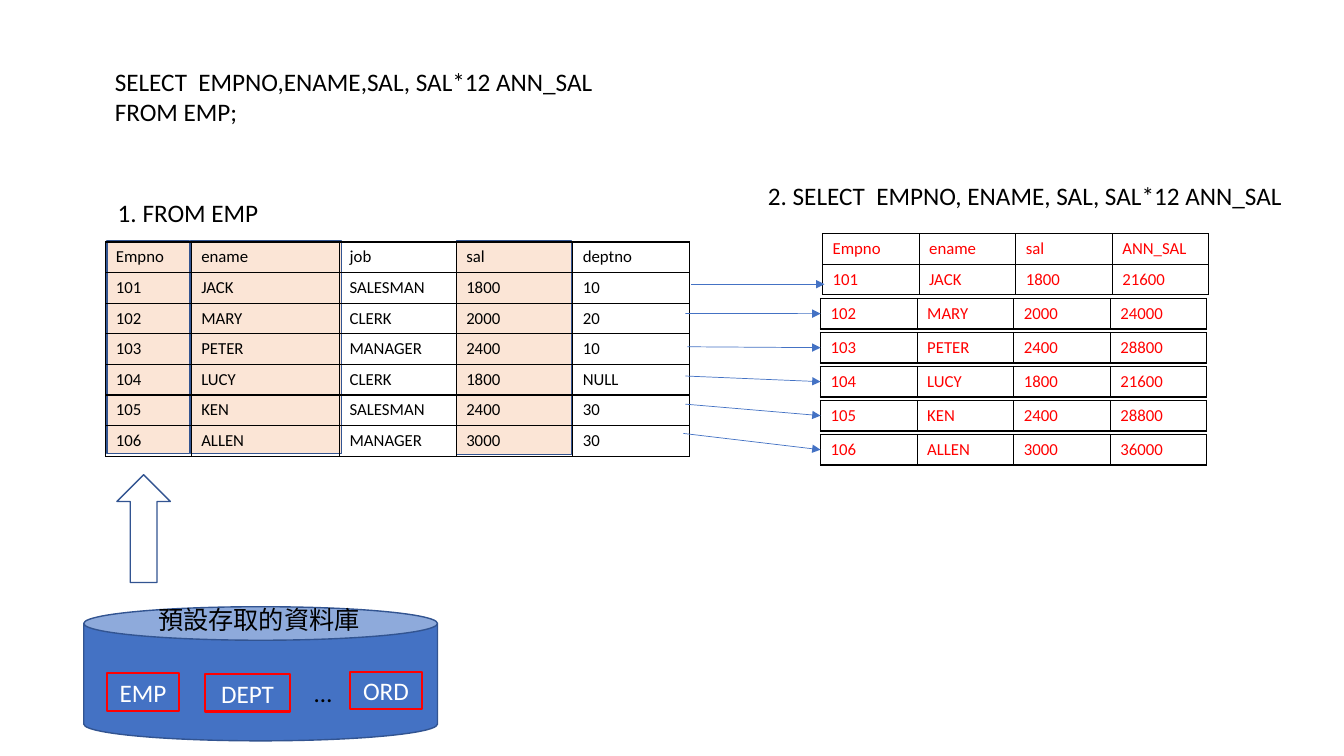
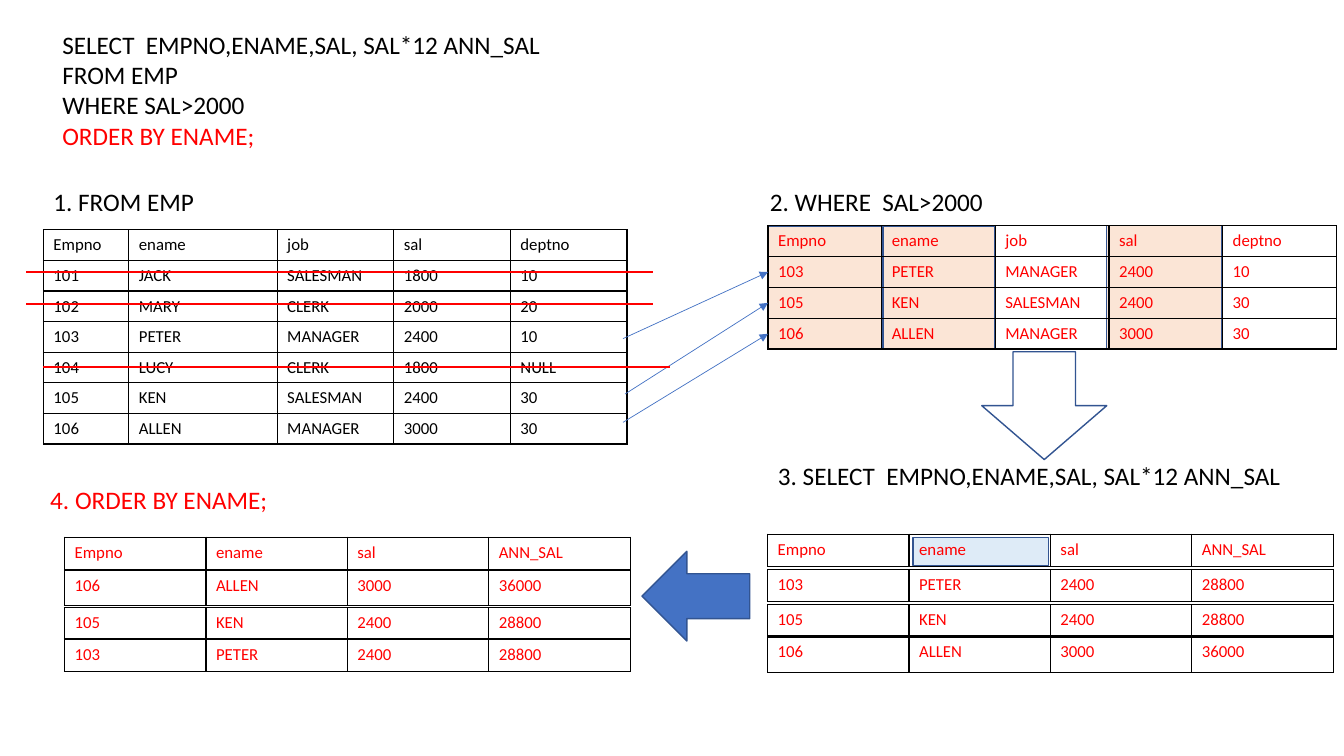
from collections import namedtuple
from dataclasses import dataclass

from lxml.etree import SubElement
from pptx import Presentation
from pptx.dml.color import RGBColor
from pptx.enum.shapes import MSO_CONNECTOR as Connector, MSO_SHAPE as Shape
from pptx.enum.text import MSO_ANCHOR as Anchor, MSO_AUTO_SIZE as AutoSize, PP_ALIGN as Align
from pptx.oxml import parse_xml
from pptx.oxml.ns import nsdecls, qn
from pptx.util import Pt


@dataclass(frozen=True)
class Theme:
    black: str = "000000"
    white: str = "FFFFFF"
    red: str = "FF0000"
    blue: str = "4472C4"
    outline: str = "325491"
    peach: str = "FBE5D6"
    pale_blue: str = "DEEBF7"
    font: str = "Calibri"
    cjk_font: str = "Noto Sans CJK SC"
    body_size: float = 18
    cell_size: float = 12
    row_height: float = 21.85
    thin: float = 0.5
    border: float = 1
    bold_line: float = 1.5


THEME = Theme()
Employee = namedtuple("Employee", "empno ename job sal deptno")
EMPLOYEES = [
    Employee(101, "JACK", "SALESMAN", 1800, 10),
    Employee(102, "MARY", "CLERK", 2000, 20),
    Employee(103, "PETER", "MANAGER", 2400, 10),
    Employee(104, "LUCY", "CLERK", 1800, "NULL"),
    Employee(105, "KEN", "SALESMAN", 2400, 30),
    Employee(106, "ALLEN", "MANAGER", 3000, 30),
]
EMP_HEADER = ("Empno", "ename", "job", "sal", "deptno")
RESULT_HEADER = ("Empno", "ename", "sal", "ANN_SAL")
EMP_WIDTHS = (61, 106, 83.3, 83.3, 83.3)
SELECT_CLAUSE = "SELECT  EMPNO,ENAME,SAL, SAL*12 ANN_SAL"


def select_row(employee):
    return employee.empno, employee.ename, employee.sal, employee.sal * 12


def points(*lengths):
    return [Pt(length) for length in lengths]


def rgb(color):
    return RGBColor.from_string(color)


def add_run(paragraph, text, size, color, font=THEME.font):
    run = paragraph.add_run()
    run.text = text
    run.font.size = Pt(size)
    run.font.bold = False
    run.font.color.rgb = rgb(color)
    run.font.name = font
    if font == THEME.cjk_font:
        SubElement(run.font._element, qn("a:ea"), typeface=font)


def add_text(slide, box, *lines, color=THEME.black, font=THEME.font, wrap=False):
    frame = slide.shapes.add_textbox(*points(*box)).text_frame
    frame.word_wrap = wrap
    frame.auto_size = AutoSize.SHAPE_TO_FIT_TEXT
    for index, line in enumerate(lines):
        text, line_color = line if isinstance(line, tuple) else (line, color)
        paragraph = frame.add_paragraph() if index else frame.paragraphs[0]
        add_run(paragraph, text, THEME.body_size, line_color, font)


def add_block(slide, kind, box, fill=None, outline=THEME.outline, width=THEME.border):
    block = slide.shapes.add_shape(kind, *points(*box))
    block.shadow.inherit = False
    if fill:
        block.fill.solid()
        block.fill.fore_color.rgb = rgb(fill)
    else:
        block.fill.background()
    block.line.color.rgb = rgb(outline)
    block.line.width = Pt(width)
    return block


def add_highlights(slide, boxes, fill=THEME.peach):
    for box in boxes:
        add_block(slide, Shape.RECTANGLE, box, fill)


def add_stored_table(slide, box, name):
    frame = add_block(slide, Shape.RECTANGLE, box, None, THEME.red, THEME.bold_line).text_frame
    frame.vertical_anchor = Anchor.MIDDLE
    frame.paragraphs[0].alignment = Align.CENTER
    add_run(frame.paragraphs[0], name, THEME.body_size, THEME.white)


def add_line(slide, start, end, color, width):
    line = slide.shapes.add_connector(Connector.STRAIGHT, *points(*start, *end))
    line.line.color.rgb = rgb(color)
    line.line.width = Pt(width)
    SubElement(line._element.spPr, qn("a:effectLst"))
    return line


def add_arrow(slide, start, end, target=None):
    arrow = add_line(slide, start, end, THEME.blue, THEME.thin)
    SubElement(arrow.line._get_or_add_ln(), qn("a:tailEnd"), type="triangle")
    if target:
        arrow.end_connect(target, 1)


def add_arrow_to_row(slide, start, row):
    add_arrow(slide, start, (row.left.pt, row.top.pt + row.height.pt / 2), row)


def add_borders(cell):
    properties = cell._tc.get_or_add_tcPr()
    for index, side in enumerate("LRTB"):
        properties.insert(index, parse_xml(
            f'<a:ln{side} {nsdecls("a")} w="{Pt(THEME.border)}"><a:solidFill>'
            f'<a:srgbClr val="{THEME.black}"/></a:solidFill></a:ln{side}>'))


def add_grid(slide, left, top, widths, rows, color=THEME.red, height=THEME.row_height):
    box = points(left, top, sum(widths), height * len(rows))
    frame = slide.shapes.add_table(len(rows), len(widths), *box)
    table = frame.table
    table.first_row = table.horz_banding = False
    for column, width in zip(table.columns, widths):
        column.width = Pt(width)
    for row, values in zip(table.rows, rows):
        row.height = Pt(height)
        for cell, value in zip(row.cells, values):
            cell.fill.background()
            add_borders(cell)
            add_run(cell.text_frame.paragraphs[0], str(value), THEME.cell_size, color)
    return frame


def add_emp_table(slide, left, top):
    add_grid(slide, left, top, EMP_WIDTHS, [EMP_HEADER, *EMPLOYEES], THEME.black)


def add_strips(slide, left, widths, rows, tops, heights):
    return [add_grid(slide, left, top, widths, [row], height=height)
            for row, top, height in zip(rows, tops, heights)]


def build_select_slide(slide):
    add_highlights(slide, [(136.1, 172.1, 108, 151.9), (326.2, 172.1, 82.1, 152.6),
                           (76.3, 172.1, 59, 151.9)])
    add_emp_table(slide, 75.6, 172.8)
    add_text(slide, (74.9, 43.9, 359.3, 51.1), SELECT_CLAUSE, "FROM EMP;")
    add_text(slide, (77, 137.5, 115.9, 28.8), "1. FROM EMP")
    add_text(slide, (541.4, 125.3, 385.2, 28.8), "2. SELECT  EMPNO, ENAME, SAL, SAL*12 ANN_SAL")

    add_block(slide, Shape.CAN, (59.8, 433.4, 252.7, 95.8), THEME.blue)
    add_stored_table(slide, (76.3, 481, 51.8, 26.6), "EMP")
    add_stored_table(slide, (146.2, 481.7, 61.2, 26.6), "DEPT")
    add_stored_table(slide, (249.8, 480.2, 51.8, 26.6), "ORD")
    add_text(slide, (217.4, 480.2, 27.4, 28.8), "…", wrap=True)
    add_block(slide, Shape.UP_ARROW, (83.5, 339.1, 38.2, 77))
    add_text(slide, (105.8, 428.4, 159.8, 28.8), "預設存取的資料庫", font=THEME.cjk_font)

    widths = [69] * 4
    first, *others = [select_row(employee) for employee in EMPLOYEES]
    add_grid(slide, 587.5, 167, widths, [RESULT_HEADER, first])
    tops = [213.1 + 24.3 * index for index in range(len(others))]
    strips = add_strips(slide, 586.1, widths, others, tops, [THEME.row_height] * len(others))
    add_arrow(slide, (493.9, 203), (589, 203))
    starts = [(489.6, 223.9), (491, 247.7), (489.6, 268.6), (489.6, 288.7), (488.2, 309.6)]
    for start, strip in zip(starts, strips):
        add_arrow_to_row(slide, start, strip)


def build_order_slide(slide):
    add_highlights(slide, [(652.3, 383.8, 96.5, 20.2)], THEME.pale_blue)
    add_highlights(slide, [(629.3, 162, 81.4, 87.8), (790.6, 161.3, 82.1, 88.6),
                           (548.6, 161.3, 82.1, 87.8)])
    add_emp_table(slide, 31, 164.2)
    add_text(slide, (37.4, 17.3, 359.3, 94.3), SELECT_CLAUSE, "FROM EMP", "WHERE SAL>2000",
             ("ORDER BY ENAME;", THEME.red))
    add_text(slide, (31, 129.6, 115.9, 28.8), "1. FROM EMP")
    add_text(slide, (542.9, 129.6, 168.5, 28.8), "2. WHERE  SAL>2000")
    add_text(slide, (548.6, 325.4, 377.3, 28.8), "3. " + SELECT_CLAUSE)
    add_text(slide, (28.8, 342.7, 171.4, 28.8), "4. ORDER BY ENAME;", color=THEME.red)

    kept = [employee for employee in EMPLOYEES if employee.sal > 2000]
    filtered = [EMP_HEADER, *kept]
    tops = [161.3 + 22.07 * index for index in range(len(filtered))]
    strips = add_strips(slide, 548.6, [81.2] * 5, filtered, tops,
                        [THEME.row_height] * len(filtered))
    for start, strip in zip([(445, 241.9), (446.4, 281.5), (445, 301.7)], strips[1:]):
        add_arrow_to_row(slide, start, strip)
    for left, middle in [(18.7, 194.4), (18.7, 217.4), (31, 262.1)]:
        add_line(slide, (left, middle), (left + 447.8, middle), THEME.red, THEME.bold_line)

    widths = [101] * 4
    selected = [RESULT_HEADER, *map(select_row, kept)]
    ordered = [RESULT_HEADER, *map(select_row, sorted(kept, key=lambda e: e.ename))]
    add_strips(slide, 548.3, widths, selected, (381.6, 406.8, 432, 455), (23, 23, 21.9, 25.2))
    add_strips(slide, 46.1, widths, ordered, (383.8, 407.5, 434.2, 456.5), (23, 25.2, 21.9, 23))
    add_block(slide, Shape.DOWN_ARROW, (701.3, 251.3, 89.3, 77))
    add_block(slide, Shape.LEFT_ARROW, (458.6, 393.8, 77, 64.1), THEME.blue)


def main():
    deck = Presentation()
    deck.slide_width, deck.slide_height = points(960, 540)
    for build in (build_select_slide, build_order_slide):
        build(deck.slides.add_slide(deck.slide_layouts[6]))
    deck.save("out.pptx")


if __name__ == "__main__":
    main()
